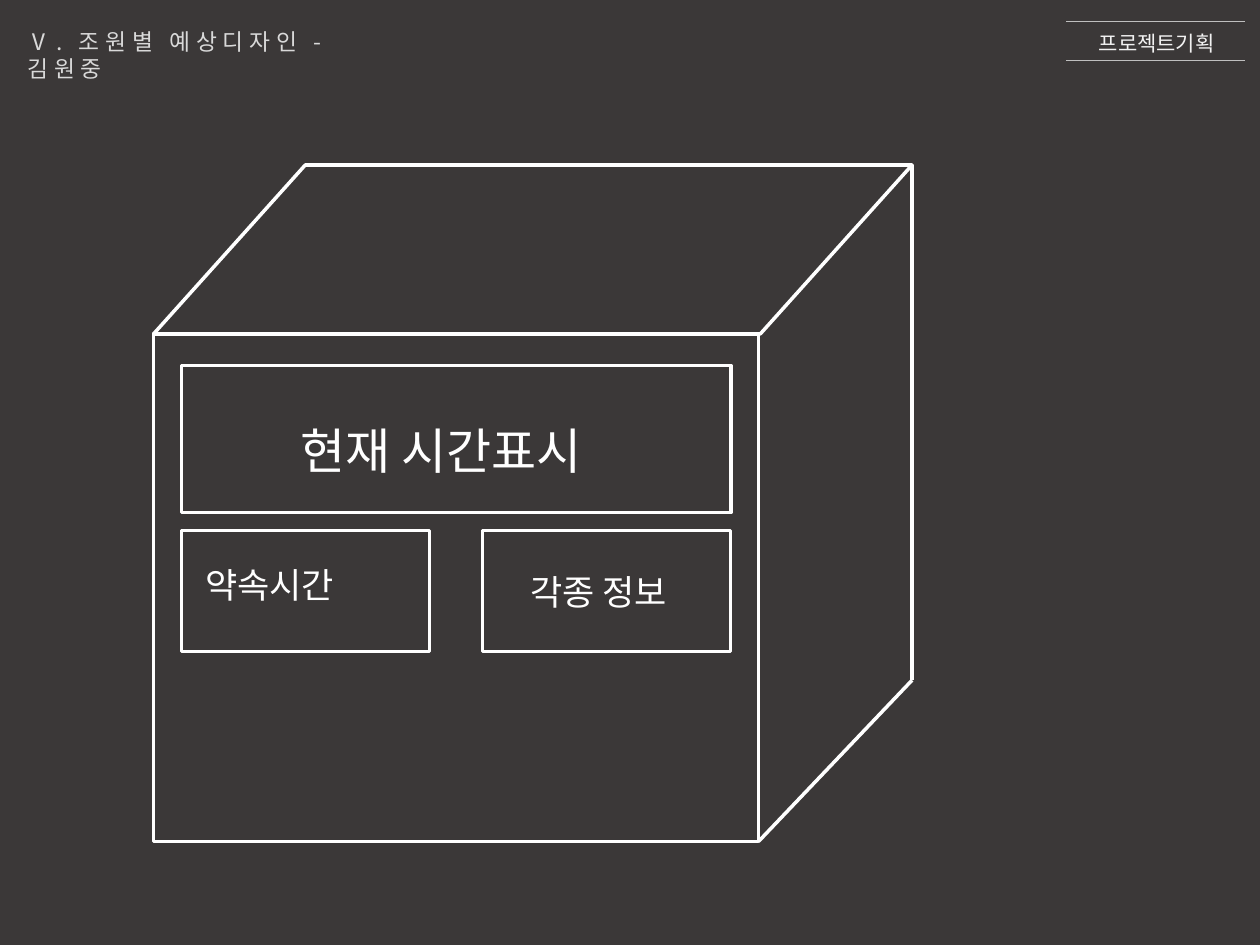
from collections import namedtuple
from dataclasses import dataclass

from lxml.etree import SubElement
from pptx import Presentation
from pptx.dml.color import RGBColor
from pptx.enum.shapes import MSO_CONNECTOR as Connector, MSO_SHAPE as Shape
from pptx.enum.text import MSO_ANCHOR as Anchor, MSO_AUTO_SIZE as AutoSize, PP_ALIGN as Align
from pptx.oxml.ns import qn
from pptx.util import Pt

Box = namedtuple("Box", "left top width height")


@dataclass(frozen=True)
class Theme:
    font: str = "Noto Sans CJK KR"
    background: str = "3B3838"
    outline: str = "FFFFFF"
    rule: str = "BFBFBF"
    title: str = "D9D9D9"
    tag: str = "F2F2F2"
    title_size: float = 13
    tag_size: float = 12
    large_size: float = 28
    label_size: float = 20
    outline_width: float = 2
    rule_width: float = 0.75


THEME = Theme()


def color(value):
    return RGBColor.from_string(value)


def points(box):
    return [Pt(value) for value in box]


def write(shape, text, size, fill=THEME.outline, align=Align.LEFT, spacing=None):
    """Write one formatted paragraph into a text box or placeholder."""
    frame = shape.text_frame
    frame.word_wrap = True
    frame.auto_size = AutoSize.NONE
    frame.vertical_anchor = Anchor.TOP
    para = frame.paragraphs[0]
    para.alignment = align
    span = para.add_run()
    span.text = text
    span.font.size = Pt(size)
    span.font.name = THEME.font
    span.font.color.rgb = color(fill)
    properties = span.font._element
    SubElement(properties, qn("a:ea")).set("typeface", THEME.font)
    if spacing:
        properties.set("spc", str(round(spacing * 100)))


def add_label(page, box, text, size, **style):
    write(page.shapes.add_textbox(*points(box)), text, size, **style)


def add_outline(page, kind, box):
    shape = page.shapes.add_shape(kind, *points(box))
    shape.shadow.inherit = False
    shape.fill.background()
    shape.line.color.rgb = color(THEME.outline)
    shape.line.width = Pt(THEME.outline_width)


def add_line(page, start, end, stroke, width):
    line = page.shapes.add_connector(Connector.STRAIGHT, *points(start + end))
    line.line.color.rgb = color(stroke)
    line.line.width = Pt(width)
    SubElement(line._element.spPr, qn("a:effectLst"))


def add_title(page, box):
    title = page.shapes.title
    title.left, title.top, title.width, title.height = points(box)
    write(title, "Ⅴ. 조원별 예상디자인 - 김원중", THEME.title_size,
          fill=THEME.title, spacing=3.3)


def add_project_tag(page, box):
    """Project name between two rules."""
    right = box.left + box.width
    label = Box(box.left + 7.2, box.top + 1.5, box.width - 17.4, 21)
    add_label(page, label, "프로젝트기획", THEME.tag_size, fill=THEME.tag, align=Align.RIGHT)
    for y in (box.top, box.top + box.height):
        add_line(page, (box.left, y), (right, y), THEME.rule, THEME.rule_width)


def add_panel(page, box, text, size, inset, label_size):
    """Display panel with its label set at an inset from the corner."""
    add_outline(page, Shape.RECTANGLE, box)
    label = Box(box.left + inset[0], box.top + inset[1], *label_size)
    add_label(page, label, text, size)


def add_front(page, box):
    """Front face with one wide display above two small ones."""
    add_outline(page, Shape.RECTANGLE, box)
    margin = 15.8
    left, inner = box.left + margin, box.width - 2 * margin
    small_top, small_width, small_height = box.top + 112.3, 141.8, 69.1
    small_right = left + inner - small_width
    add_panel(page, Box(left, box.top + 18, inner, 84.2),
              "현재 시간표시", THEME.large_size, (61.2, 28.1), (260.6, 41))
    add_panel(page, Box(left, small_top, small_width, small_height),
              "약속시간", THEME.label_size, (6.5, 15.1), (150.5, 31.7))
    add_panel(page, Box(small_right, small_top, small_width, small_height),
              "각종 정보", THEME.label_size, (20.2, 19.4), (121, 31.7))


def add_clock(page, box):
    """Box-shaped clock: front face, slanted lid and right side."""
    lid_height, front_width, side_drop = 96.5, 345.6, 92.2
    right, bottom = box.left + box.width, box.top + box.height
    add_front(page, Box(box.left, box.top + lid_height, front_width, box.height - lid_height))
    add_outline(page, Shape.FLOWCHART_DATA, Box(box.left, box.top, box.width, lid_height))
    back_corner = (right, bottom - side_drop)
    front_corner = (box.left + front_width, bottom)
    for start, end in (((right, box.top), back_corner), (back_corner, front_corner)):
        add_line(page, start, end, THEME.outline, THEME.outline_width)


def main():
    deck = Presentation()
    deck.slide_width, deck.slide_height = Pt(720), Pt(540)
    page = deck.slides.add_slide(deck.slide_layouts.get_by_name("Title Only"))
    page.background.fill.solid()
    page.background.fill.fore_color.rgb = color(THEME.background)
    add_title(page, Box(8.6, 12.2, 231.8, 22.3))
    add_project_tag(page, Box(609.2, 12.2, 102.2, 22.3))
    add_clock(page, Box(87.8, 94.3, 433.4, 386.6))
    deck.save("out.pptx")


if __name__ == "__main__":
    main()
